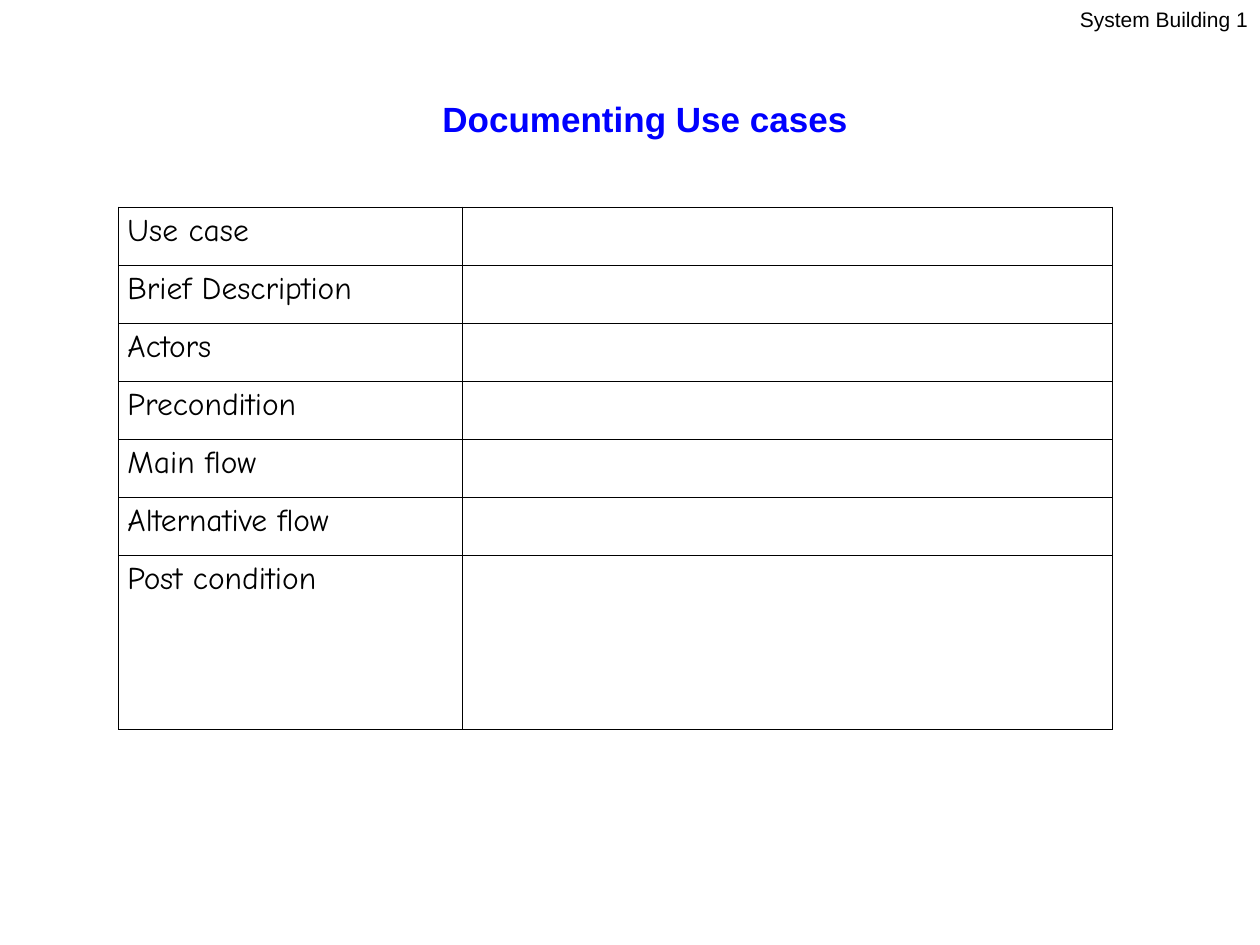
from dataclasses import dataclass

from lxml.etree import SubElement
from pptx import Presentation
from pptx.dml.color import RGBColor
from pptx.enum.text import MSO_ANCHOR, PP_ALIGN
from pptx.oxml.ns import qn
from pptx.slide import Slide
from pptx.table import _Cell
from pptx.text.text import _Paragraph
from pptx.util import Cm, Pt


@dataclass(frozen=True)
class TextStyle:
    font: str
    size: float
    color: str
    bold: bool = False


@dataclass(frozen=True)
class Theme:
    header: TextStyle = TextStyle("Arial", 12, "000000")
    title: TextStyle = TextStyle("Arial", 20, "0000FF", True)
    label: TextStyle = TextStyle("Comic Neue", 18, "000000")
    border_color: str = "000000"
    border_width: float = 0.45


@dataclass(frozen=True)
class Caption:
    text: str
    style: TextStyle
    left: float
    top: float
    width: float
    height: float
    anchor: MSO_ANCHOR
    wrap: bool


@dataclass(frozen=True)
class UseCaseField:
    label: str
    height: float = 1.17


THEME = Theme()
CAPTIONS = [
    Caption("System Building 1", THEME.header, 21.51, 0, 3.91, 0.76, MSO_ANCHOR.TOP, False),
    Caption("Documenting Use cases", THEME.title, 3.38, 0.58, 19.25, 3.61, MSO_ANCHOR.MIDDLE, True),
]
FIELDS = [
    UseCaseField("Use case"),
    UseCaseField("Brief Description"),
    UseCaseField("Actors"),
    UseCaseField("Precondition"),
    UseCaseField("Main flow"),
    UseCaseField("Alternative flow"),
    UseCaseField("Post condition", 3.51),
]
TABLE_LEFT, TABLE_TOP = 2.39, 4.17
COLUMN_WIDTHS = (6.93, 13.11)


def add_run(paragraph: _Paragraph, text: str, style: TextStyle) -> None:
    run = paragraph.add_run()
    run.text = text
    run.font.name = style.font
    run.font.size = Pt(style.size)
    run.font.bold = style.bold
    run.font.color.rgb = RGBColor.from_string(style.color)


def add_caption(slide: Slide, caption: Caption) -> None:
    shape = slide.shapes.add_textbox(
        Cm(caption.left), Cm(caption.top), Cm(caption.width), Cm(caption.height))
    frame = shape.text_frame
    frame.word_wrap = caption.wrap
    frame.vertical_anchor = caption.anchor
    paragraph = frame.paragraphs[0]
    paragraph.alignment = PP_ALIGN.CENTER
    add_run(paragraph, caption.text, caption.style)


def format_cell(cell: _Cell) -> None:
    cell.margin_left = cell.margin_right = Cm(0.18)
    cell.margin_top = cell.margin_bottom = Cm(0.13)
    properties = cell._tc.get_or_add_tcPr()
    # Borders precede the fill in the cell properties
    for side in ("lnL", "lnR", "lnT", "lnB"):
        line = SubElement(properties, qn(f"a:{side}"), w=str(Pt(THEME.border_width)))
        fill = SubElement(line, qn("a:solidFill"))
        SubElement(fill, qn("a:srgbClr"), val=THEME.border_color)
    cell.fill.background()


def add_use_case_table(slide: Slide, fields: list[UseCaseField]) -> None:
    table = slide.shapes.add_table(
        len(fields), len(COLUMN_WIDTHS), Cm(TABLE_LEFT), Cm(TABLE_TOP),
        Cm(sum(COLUMN_WIDTHS)), Cm(sum(field.height for field in fields))).table
    table.first_row = table.horz_banding = False
    for column, width in zip(table.columns, COLUMN_WIDTHS):
        column.width = Cm(width)
    for row, field in zip(table.rows, fields):
        row.height = Cm(field.height)
        for cell in row.cells:
            format_cell(cell)
        add_run(row.cells[0].text_frame.paragraphs[0], field.label, THEME.label)


def main() -> None:
    presentation = Presentation()
    presentation.slide_width, presentation.slide_height = Cm(25.4), Cm(19.05)
    slide = presentation.slides.add_slide(presentation.slide_layouts[6])

    # Page header and title
    for caption in CAPTIONS:
        add_caption(slide, caption)

    # Use case template
    add_use_case_table(slide, FIELDS)

    presentation.save("out.pptx")


if __name__ == "__main__":
    main()
